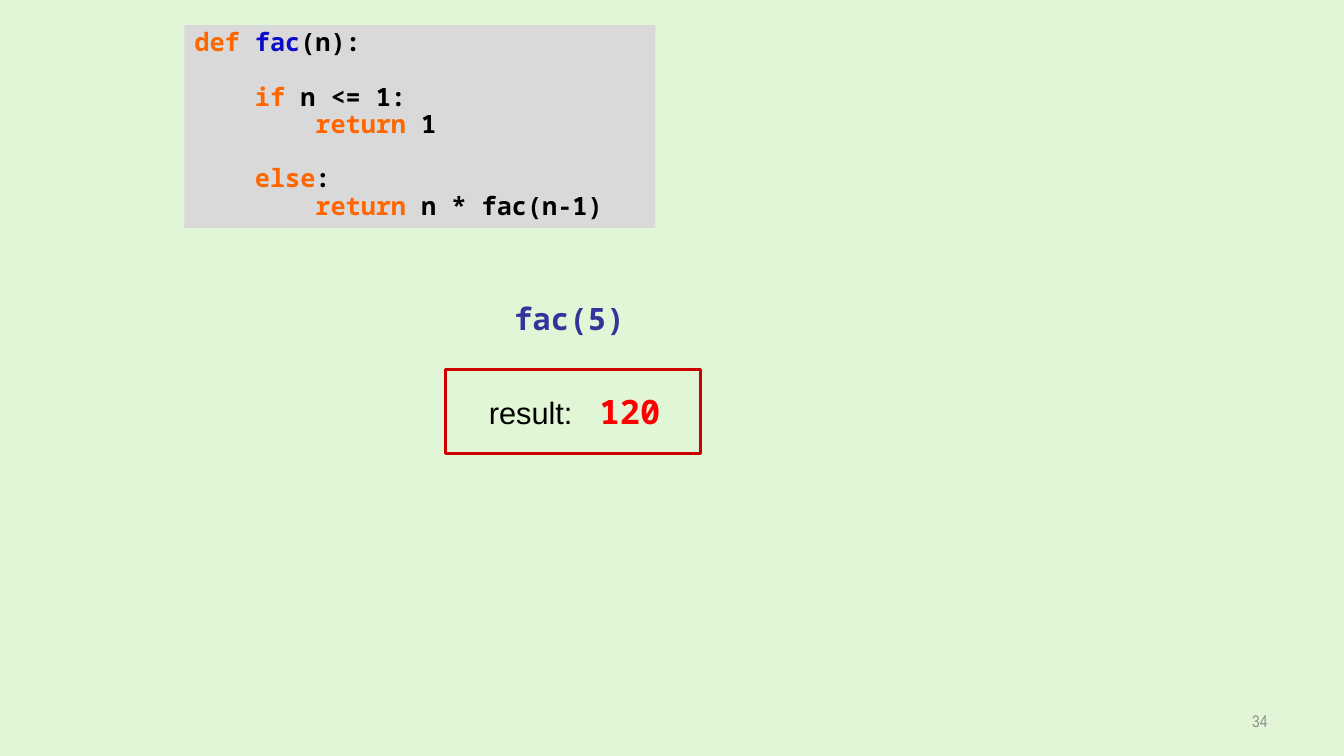
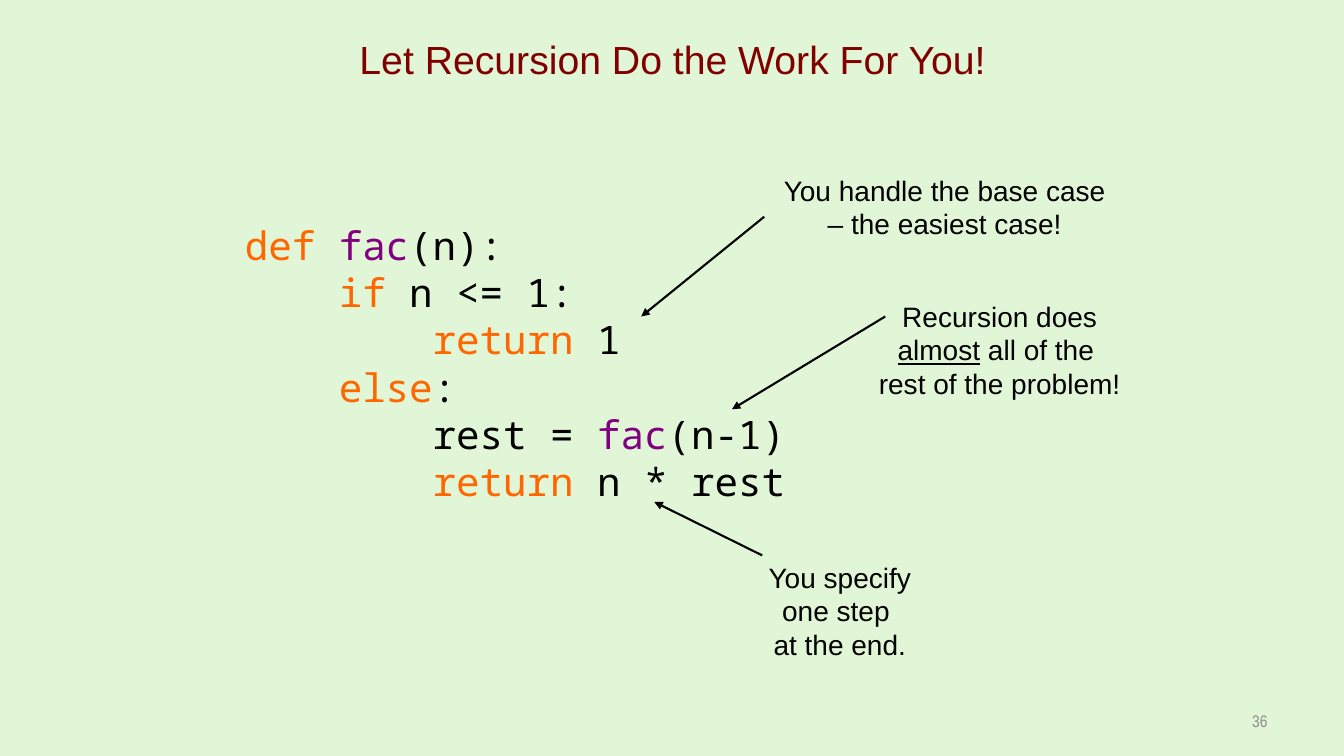
from lxml import etree
from pptx import Presentation
from pptx.dml.color import RGBColor
from pptx.enum.shapes import MSO_CONNECTOR, MSO_SHAPE
from pptx.enum.text import MSO_ANCHOR, PP_ALIGN
from pptx.oxml.ns import qn
from pptx.util import Inches, Pt

COLORS = {
    "page": "E1F6D6", "panel": "D9D9D9", "frame": "CC0000",
    "title": "800000", "text": "000000", "number": "8C8C8C",
    "keyword": "FF6600", "name": "0C0BC6", "call": "800080",
    "example": "333399", "answer": "FF0000",
}
SANS, NARROW, MONO = "Arial", "Arial Narrow", "Noto Sans Mono"
CODE_LINE = 1.2  # height of a code line, as a share of the font size

# Content: code lines are lists of (text, color); an empty list is a blank line
SHORT_CODE = [
    [("def ", "keyword"), ("fac", "name"), ("(n):", "text")],
    [],
    [("    if", "keyword"), (" n <= 1:", "text")],
    [("        return", "keyword"), (" 1", "text")],
    [],
    [("    else", "keyword"), (":", "text")],
    [("        return", "keyword"), (" n * fac(n-1)", "text")],
]
LONG_CODE = [
    [("def ", "keyword"), ("fac", "call"), ("(n):", "text")],
    [("    if", "keyword"), (" n <= 1:", "text")],
    [("        return", "keyword"), (" 1", "text")],
    [("    else", "keyword"), (":", "text")],
    [("        rest = ", "text"), ("fac", "call"), ("(n-1)", "text")],
    [("        return", "keyword"), (" n * rest", "text")],
]
# Notes: text box, spans of (text, underlined), arrow start, arrow end
NOTES = [
    ((7.58, 1.67, 3.58, 0.77),
     [("You handle the base case – the easiest case!", False)],
     (7.58, 2.15), (6.36, 3.14)),
    ((8.49, 2.92, 2.85, 1.11),
     [("Recursion does ", False), ("almost", True),
      (" all of the \nrest of the problem!", False)],
     (8.78, 3.14), (7.26, 4.06)),
    ((7.35, 5.51, 1.96, 1.11),
     [("You specify one step \nat the end.", False)],
     (7.56, 5.51), (6.49, 4.98)),
]


def rgb(color):
    return RGBColor.from_string(COLORS[color])


def style(font, size, face, color, bold=False):
    font.size, font.name, font.bold = Pt(size), face, bold
    font.color.rgb = rgb(color)


def add_text(page, area):
    box = page.shapes.add_textbox(*map(Inches, area))
    box.text_frame.word_wrap = True
    return box.text_frame


def add_rectangle(page, area, fill=None, line=None):
    box = page.shapes.add_shape(MSO_SHAPE.RECTANGLE, *map(Inches, area))
    box.shadow.inherit = False
    if fill:
        box.fill.solid()
        box.fill.fore_color.rgb = rgb(fill)
    else:
        box.fill.background()
    if line:
        box.line.color.rgb, box.line.width = rgb(line), Pt(2.25)
    else:
        box.line.fill.background()
    return box.text_frame


def write_code(frame, lines, size, bold=False, spacing=1.0):
    frame.word_wrap = True
    frame.vertical_anchor = MSO_ANCHOR.TOP
    blank_lines, para = 0, None
    for line in lines:
        if not line:
            blank_lines += 1
            continue
        para = frame.add_paragraph() if para else frame.paragraphs[0]
        para.alignment, para.line_spacing = PP_ALIGN.LEFT, spacing
        if blank_lines:
            para.space_before = Pt(blank_lines * size * CODE_LINE * spacing)
        blank_lines = 0
        para.font.size, para.font.name, para.font.bold = Pt(size), MONO, bold
        for text, color in line:
            span = para.add_run()
            span.text = text
            span.font.color.rgb = rgb(color)


def add_arrow(page, start, end):
    arrow = page.shapes.add_connector(
        MSO_CONNECTOR.STRAIGHT, *map(Inches, start + end))
    arrow.line.color.rgb, arrow.line.width = rgb("text"), Pt(1.5)
    etree.SubElement(arrow.line._get_or_add_ln(), qn("a:tailEnd"), type="triangle")
    etree.SubElement(arrow._element.spPr, qn("a:effectLst"))


def add_note(page, area, spans, start, end):
    para = add_text(page, area).paragraphs[0]
    para.alignment = PP_ALIGN.CENTER
    style(para.font, 20, SANS, "text")
    for text, underlined in spans:
        for index, part in enumerate(text.split("\n")):
            if index:
                para.add_line_break()
            span = para.add_run()
            span.text = part
            if underlined:
                span.font.underline = True
    add_arrow(page, start, end)


def add_page(deck, number, title=None):
    page = deck.slides.add_slide(deck.slide_layouts[5 if title else 6])
    if title:
        box = page.shapes.title
        box.left, box.top, box.width, box.height = map(Inches, (2.17, 0.08, 9, 1))
        frame = box.text_frame
        frame.vertical_anchor = MSO_ANCHOR.MIDDLE
        frame.text = title
        frame.paragraphs[0].alignment = PP_ALIGN.CENTER
        style(frame.paragraphs[0].font, 28, SANS, "title")
    # Page number
    frame = add_text(page, (9.56, 6.95, 3.11, 0.4))
    frame.vertical_anchor = MSO_ANCHOR.MIDDLE
    para = frame.paragraphs[0]
    para.text, para.alignment = str(number), PP_ALIGN.RIGHT
    style(para.font, 12, NARROW, "number")
    return page


def build_result_page(deck):
    page = add_page(deck, 34)
    para = add_text(page, (5, 2.92, 3.25, 0.47)).paragraphs[0]
    para.text = "fac(5)"
    style(para.font, 22, MONO, "example", bold=True)

    # Result, with the answer at a tab stop
    para = add_text(page, (4.75, 3.83, 2.06, 0.5)).paragraphs[0]
    tabs = etree.SubElement(para._p.get_or_add_pPr(), qn("a:tabLst"))
    etree.SubElement(tabs, qn("a:tab"), pos=str(Inches(1.1)), algn="l")
    label, answer = para.add_run(), para.add_run()
    label.text, answer.text = "result:\t", "120"
    style(label.font, 22, SANS, "text")
    style(answer.font, 24, MONO, "answer", bold=True)
    add_rectangle(page, (4.42, 3.67, 2.53, 0.83), line="frame")

    panel = add_rectangle(page, (1.83, 0.25, 4.67, 2.01), fill="panel")
    write_code(panel, SHORT_CODE, 18, bold=True, spacing=0.9)


def build_recursion_page(deck):
    page = add_page(deck, 36, "Let Recursion Do the Work For You!")
    write_code(add_text(page, (2.33, 2.15, 8.42, 2.93)), LONG_CODE, 28)
    for note in NOTES:
        add_note(page, *note)


def main():
    deck = Presentation()
    deck.slide_width, deck.slide_height = Inches(13.33), Inches(7.5)
    background = deck.slide_master.background.fill
    background.solid()
    background.fore_color.rgb = rgb("page")
    build_result_page(deck)
    build_recursion_page(deck)
    deck.save("out.pptx")


if __name__ == "__main__":
    main()
